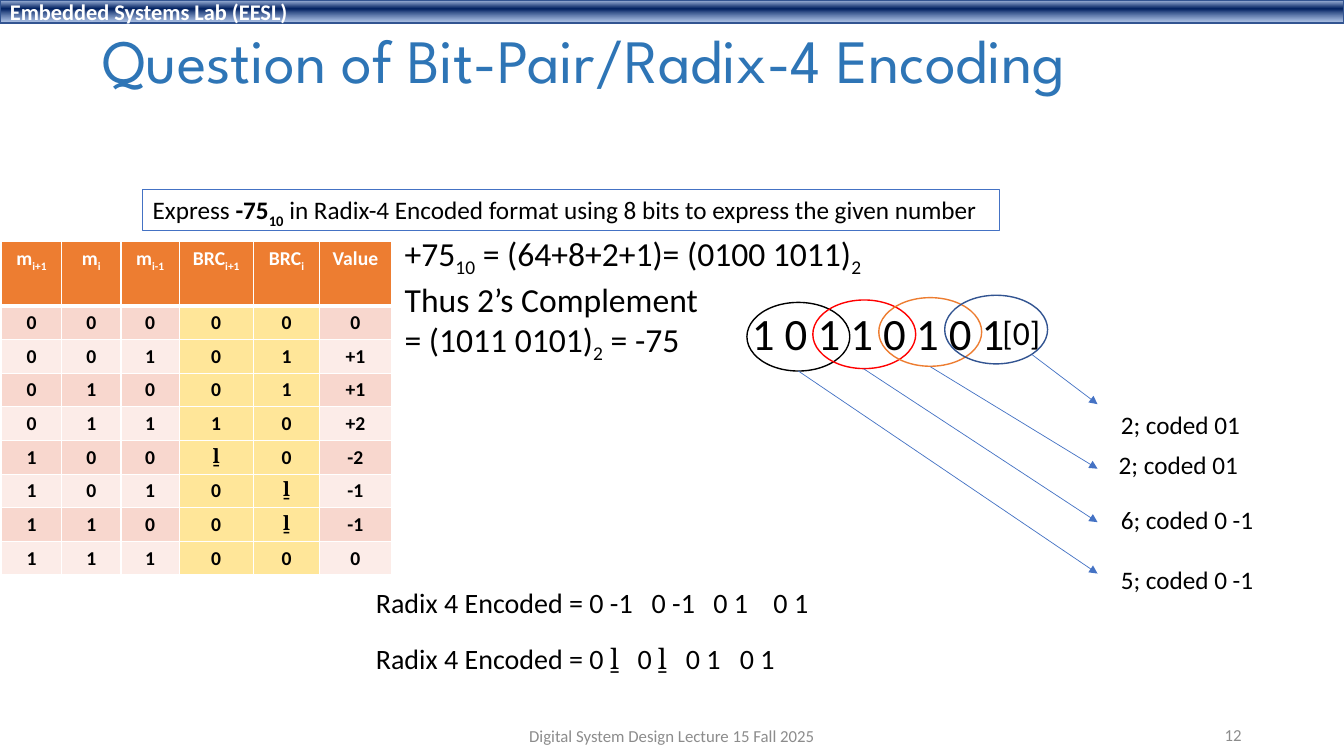
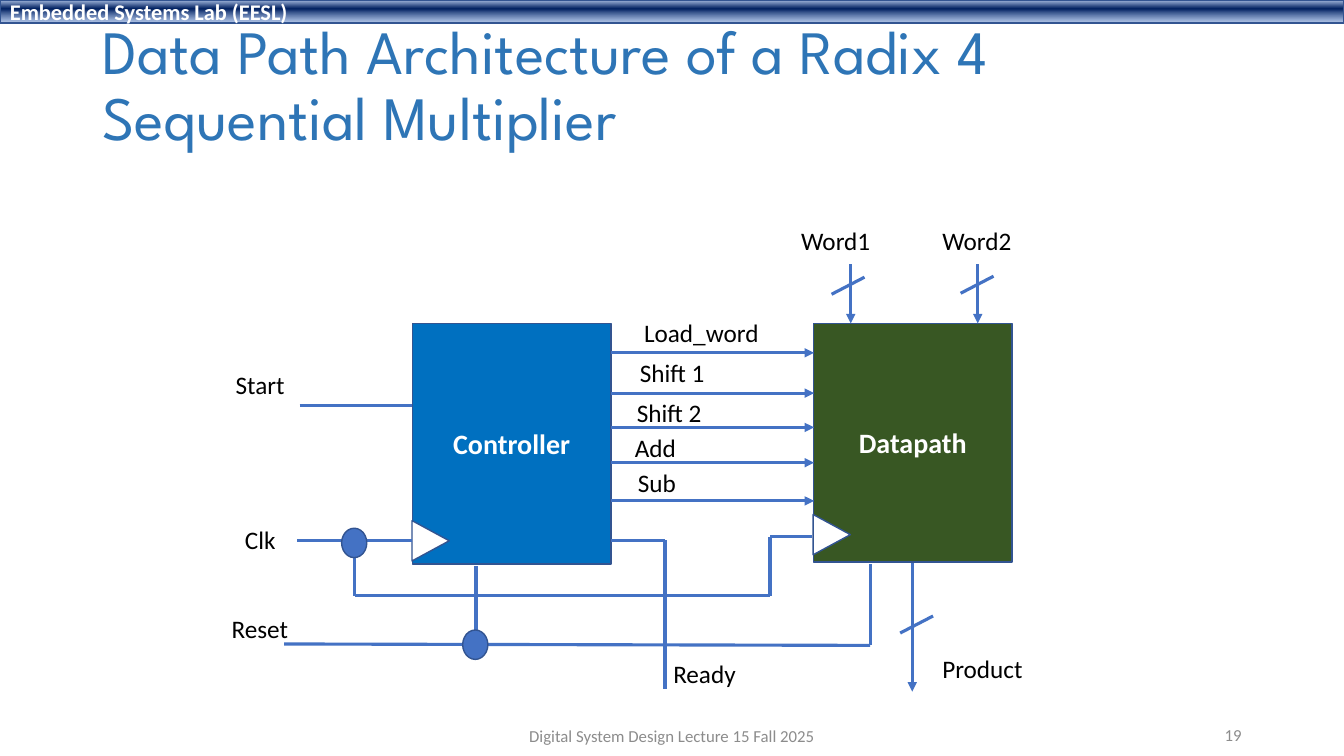
from lxml.etree import SubElement
from pptx import Presentation
from pptx.dml.color import RGBColor
from pptx.enum.shapes import MSO_CONNECTOR as Line, MSO_SHAPE as Preset
from pptx.enum.text import MSO_ANCHOR as Anchor, MSO_AUTO_SIZE as Fit, PP_ALIGN as Align
from pptx.oxml.ns import qn
from pptx.util import Pt

COLORS = {
    "white": "FFFFFF", "black": "000000", "title": "2E75B6", "muted": "8C8C8C",
    "edge": "325491", "wire": "4472C4", "red": "FF0000", "orange": "ED7D31",
    "controller": "0070C0", "datapath": "385723", "odd": "F8D7CE",
    "even": "FCECE8", "code": "FFE699",
}
BAND_STOPS = [(2, "ABC0E4", 100), (38, "002060", 100), (93, "7E9ED6", 64)]
FOOTER = "Digital System Design Lecture 15 Fall 2025"
MINUS_ONE = ("ḻ", {"font": "Cambria"})


def color(name):
    """Return the named palette colour."""
    return RGBColor.from_string(COLORS[name])


def sub(text):
    """Return a subscript span."""
    return text, {"baseline": -25}


def write(para, spans, size=18, ink="black", font="Calibri", bold=False,
          align=Align.LEFT, tabs=()):
    """Write a string, or a list of strings and (text, format) pairs."""
    para.alignment = align
    if tabs:
        tab_list = SubElement(para._p.get_or_add_pPr(), qn("a:tabLst"))
        for stop in tabs:
            SubElement(tab_list, qn("a:tab"), pos=str(Pt(stop)), algn="l")
    for item in [spans] if isinstance(spans, str) else spans:
        text, extra = (item, {}) if isinstance(item, str) else item
        span = para.add_run()
        span.text = text
        span.font.name = extra.get("font", font)
        span.font.size = Pt(size)
        span.font.bold = extra.get("bold", bold)
        span.font.color.rgb = color(ink)
        if "baseline" in extra:
            span._r.get_or_add_rPr().set("baseline", str(extra["baseline"] * 1000))


def add_label(page, left, top, width, height, *lines, wrap=False, edge=None,
              anchor=Anchor.TOP, **style):
    """Add a text box with one paragraph for each line."""
    box = page.shapes.add_textbox(Pt(left), Pt(top), Pt(width), Pt(height))
    frame = box.text_frame
    frame.word_wrap = wrap
    frame.auto_size = Fit.NONE if wrap else Fit.SHAPE_TO_FIT_TEXT
    frame.vertical_anchor = anchor
    if edge:
        box.fill.solid()
        box.fill.fore_color.rgb = color("white")
        box.line.color.rgb = color(edge)
        box.line.width = Pt(1)
    for number, spans in enumerate(lines):
        para = frame.add_paragraph() if number else frame.paragraphs[0]
        write(para, spans, **style)


def add_block(page, preset, left, top, width, height, fill=None, edge="edge",
              text=None, rotation=0, **style):
    """Add an outlined preset shape, with a fill and text if given."""
    block = page.shapes.add_shape(preset, Pt(left), Pt(top), Pt(width), Pt(height))
    block.shadow.inherit = False
    block.rotation = rotation
    block.line.color.rgb = color(edge)
    block.line.width = Pt(1)
    if fill:
        block.fill.solid()
        block.fill.fore_color.rgb = color(fill)
    else:
        block.fill.background()
    if text:
        block.text_frame.vertical_anchor = Anchor.MIDDLE
        write(block.text_frame.paragraphs[0], text, **style)
    return block


def add_wire(page, *points, width=2.25, arrow=False):
    """Join points with straight lines, the last one with an arrowhead if asked."""
    for number, (start, end) in enumerate(zip(points, points[1:]), 2):
        wire = page.shapes.add_connector(Line.STRAIGHT, *map(Pt, start + end))
        wire.line.color.rgb = color("wire")
        wire.line.width = Pt(width)
        shape_format = wire.element.spPr
        if arrow and number == len(points):
            SubElement(shape_format.find(qn("a:ln")), qn("a:tailEnd"), type="triangle")
        SubElement(shape_format, qn("a:effectLst"))


def add_bus(page, x, top, bottom, slash_left, slash_bottom):
    """Add a downward arrow crossed by a bus slash."""
    add_wire(page, (x, top), (x, bottom), arrow=True)
    add_wire(page, (slash_left, slash_bottom), (slash_left + 23.5, slash_bottom - 12.2))


def add_band(page):
    """Add the gradient band with the lab name."""
    band = add_block(page, Preset.RECTANGLE, 0, 0, 960, 16.5,
                     text="Embedded Systems Lab (EESL)", size=16, ink="white", bold=True)
    band.fill.gradient()
    band.fill.gradient_angle = 270
    stops = next(band.element.spPr.iter(qn("a:gsLst")))
    for stop in list(stops):
        stops.remove(stop)
    for position, value, opacity in BAND_STOPS:
        stop = SubElement(stops, qn("a:gs"), pos=str(position * 1000))
        tone = SubElement(stop, qn("a:srgbClr"), val=value)
        if opacity < 100:
            SubElement(tone, qn("a:alpha"), val=str(opacity * 1000))


def add_page(deck, title, number, title_height):
    """Add a page with its band, title, footer and page number."""
    page = deck.slides.add_slide(deck.slide_layouts[5])
    add_band(page)
    box = page.shapes.title
    box.left, box.top, box.width, box.height = map(Pt, (66, 10.8, 828, title_height))
    box.text_frame.auto_size = Fit.NONE
    box.text_frame.word_wrap = True
    box.text_frame.vertical_anchor = Anchor.MIDDLE
    para = box.text_frame.paragraphs[0]
    para.line_spacing = 0.9
    write(para, title, size=44, ink="title", font="League Spartan")
    small = {"wrap": True, "anchor": Anchor.MIDDLE, "size": 12, "ink": "muted"}
    add_label(page, 318, 511, 324, 28.8, FOOTER, align=Align.CENTER, **small)
    add_label(page, 678, 510.5, 216, 28.8, number, align=Align.RIGHT, **small)
    return page


def fill_cell(cell, spans, fill, ink, bottom=1):
    """Fill a table cell and give it white borders."""
    cell.fill.solid()
    cell.fill.fore_color.rgb = color(fill)
    write(cell.text_frame.paragraphs[0], spans, size=14, ink=ink, bold=True,
          align=Align.CENTER)
    cell_format = cell._tc.get_or_add_tcPr()
    for place, side in enumerate("LRTB"):
        width = bottom if side == "B" else 1
        border = SubElement(cell_format, qn(f"a:ln{side}"), w=str(Pt(width)))
        paint = SubElement(border, qn("a:solidFill"))
        SubElement(paint, qn("a:srgbClr"), val=COLORS["white"])
        cell_format.insert(place, border)


def add_code_table(page, header, rows):
    """Add the recoding table with its two code columns highlighted."""
    widths = [43, 42.5, 41.5, 53, 47.5, 51]
    table = page.shapes.add_table(len(rows) + 1, len(widths), Pt(1), Pt(172.5),
                                  Pt(sum(widths)), Pt(46 + 24 * len(rows))).table
    table.horz_banding = False
    for column, width in zip(table.columns, widths):
        column.width = Pt(width)
    for number, row in enumerate(table.rows):
        row.height = Pt(24 if number else 46)
    for column, spans in enumerate(header):
        fill_cell(table.cell(0, column), spans, "orange", "white", bottom=3)
    for number, values in enumerate(rows, 1):
        stripe = "odd" if number % 2 else "even"
        for column, value in enumerate(values):
            spans = [MINUS_ONE] if value == "ḻ" else value
            fill_cell(table.cell(number, column), spans,
                      "code" if column in (3, 4) else stripe, "black")


def build_encoding(deck):
    """Build the worked encoding example."""
    page = add_page(deck, "Question of Bit-Pair/Radix-4 Encoding", "12", 69)
    strong = {"bold": True}
    add_label(page, 102, 135.5, 612, 29, [
        "Express ", ("-75", strong), ("10", {"bold": True, "baseline": -25}),
        " in Radix-4 Encoded format using 8 bits to express the given number"], edge="wire")
    add_label(page, 282, 162.7, 346, 94.5,
              ["+75", sub("10"), " = (64+8+2+1)= (0100 1011)", sub("2")],
              "Thus 2’s Complement",
              ["= (1011 0101)", sub("2"), " = -75"], size=24)
    add_label(page, 530, 214.5, 197, 46, "1 0 1 1 0 1 0 1", size=32)
    add_label(page, 709, 219, 42, 36, "[0]", size=24)
    for step, edge in enumerate(["black", "red", "orange", "edge"]):
        add_block(page, Preset.OVAL, 533.5 + 47.1 * step, 216 - 1.7 * step, 73.5, 49,
                  edge=edge)
    codes = [((737.3, 253.4), 288.7, 793.5, 288.7, "2; coded 01"),
             ((664.6, 262), 334.8, 792, 317.5, "2; coded 01"),
             ((617, 263.5), 373, 793.5, 356.4, "6; coded 0 -1"),
             ((570.2, 265), 409.7, 793.5, 399.6, "5; coded 0 -1")]
    for start, end, left, top, text in codes:
        add_wire(page, start, (784, end), width=0.5, arrow=True)
        add_label(page, left, top, 111 if "-" in text else 101, 29, text)
    add_label(page, 261.4, 414.7, 336, 31.5,
              "Radix 4 Encoded = 0 -1\t0 -1\t0 1\t0 1",
              size=20, wrap=True, tabs=(197, 241, 284))
    add_label(page, 261.4, 454.3, 336, 31.5,
              ["Radix 4 Encoded = 0 ", MINUS_ONE, "\t0 ", MINUS_ONE, "\t0 1\t0 1"],
              size=20, wrap=True, tabs=(187, 221.5, 260))
    header = [["m", sub("i+1")], ["m", sub("i")], ["m", sub("i-1")],
              ["BRC", sub("i+1")], ["BRC", sub("i")], "Value"]
    rows = ["0 0 0 0 0 0", "0 0 1 0 1 +1", "0 1 0 0 1 +1", "0 1 1 1 0 +2",
            "1 0 0 ḻ 0 -2", "1 0 1 0 ḻ -1", "1 1 0 0 ḻ -1", "1 1 1 0 0 0"]
    add_code_table(page, header, [row.split() for row in rows])


def build_datapath(deck):
    """Build the controller and datapath diagram."""
    page = add_page(deck, "Data Path Architecture of a Radix 4 Sequential Multiplier",
                    "19", 103.7)
    units = [(294.5, 172, "controller", 373), (581, 170.6, "datapath", 368.6)]
    for left, height, name, clock_top in units:
        add_block(page, Preset.RECTANGLE, left, 231, 142, height, fill=name,
                  text=name.capitalize(), size=20, ink="white", bold=True,
                  align=Align.CENTER)
        add_block(page, Preset.ISOSCELES_TRIANGLE, left - 1.3, clock_top, 28.8, 26.6,
                  fill="white", rotation=90)
    for y in (252, 280.8, 305.3, 330.5, 357.8):
        add_wire(page, (436.5, y), (581.5, y), arrow=True)
    routes = [
        [(294.5, 386), (212.5, 386)],
        [(580, 383.5), (550, 383.5), (550, 425.5), (253.5, 425.5), (253.5, 386)],
        [(340, 404.6), (340, 462)],
        [(621.5, 403), (621.5, 461), (203, 460)],
        [(214, 289.5), (294.5, 289.5)],
        [(436.5, 386), (475, 386), (475, 492.5)],
    ]
    for route in routes:
        add_wire(page, *route)
    add_bus(page, 607.7, 188.6, 231, 594, 210.2)
    add_bus(page, 698.4, 188.6, 231, 686.2, 209.5)
    add_bus(page, 651.6, 402.5, 494, 643, 452.2)
    for left, top in [(244, 377.3), (330.5, 450)]:
        add_block(page, Preset.OVAL, left, top, 18, 21, fill="wire")
    labels = [
        ("Load_word", 453, 223.2, 97), ("Shift 1", 450, 252, 62),
        ("Shift 2", 447.8, 280, 62), ("Add", 446.4, 305.3, 44),
        ("Sub", 448.6, 330.5, 42), ("Start", 161.3, 260.6, 50),
        ("Clk", 167.8, 370.8, 37), ("Reset", 158.4, 434.2, 55),
        ("Ready", 473.8, 466.6, 60), ("Word1", 565.2, 157.7, 64),
        ("Word2", 666, 157.7, 64), ("Product", 666, 463, 73),
    ]
    for text, left, top, width in labels:
        add_label(page, left, top, width, 29, text)


def main():
    """Build and save the deck."""
    deck = Presentation()
    deck.slide_width, deck.slide_height = Pt(960), Pt(540)
    build_encoding(deck)
    build_datapath(deck)
    deck.save("out.pptx")


if __name__ == "__main__":
    main()
